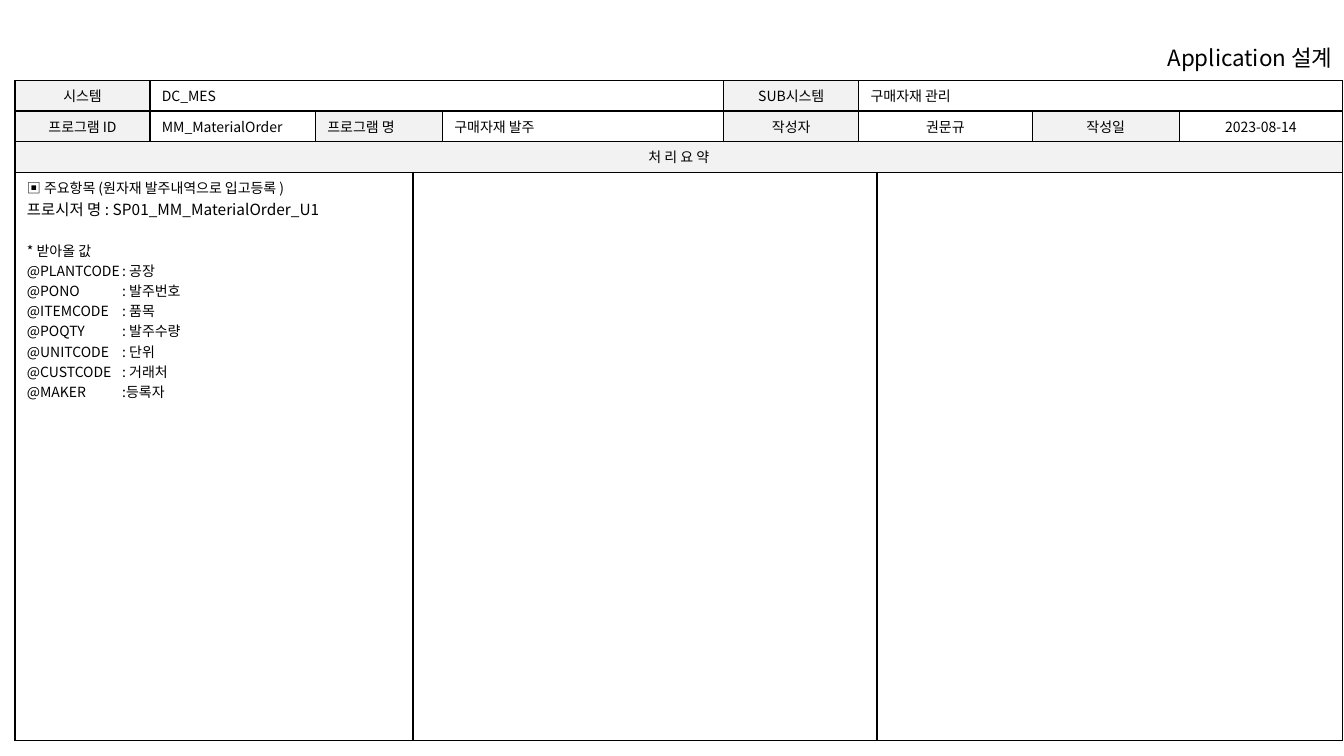
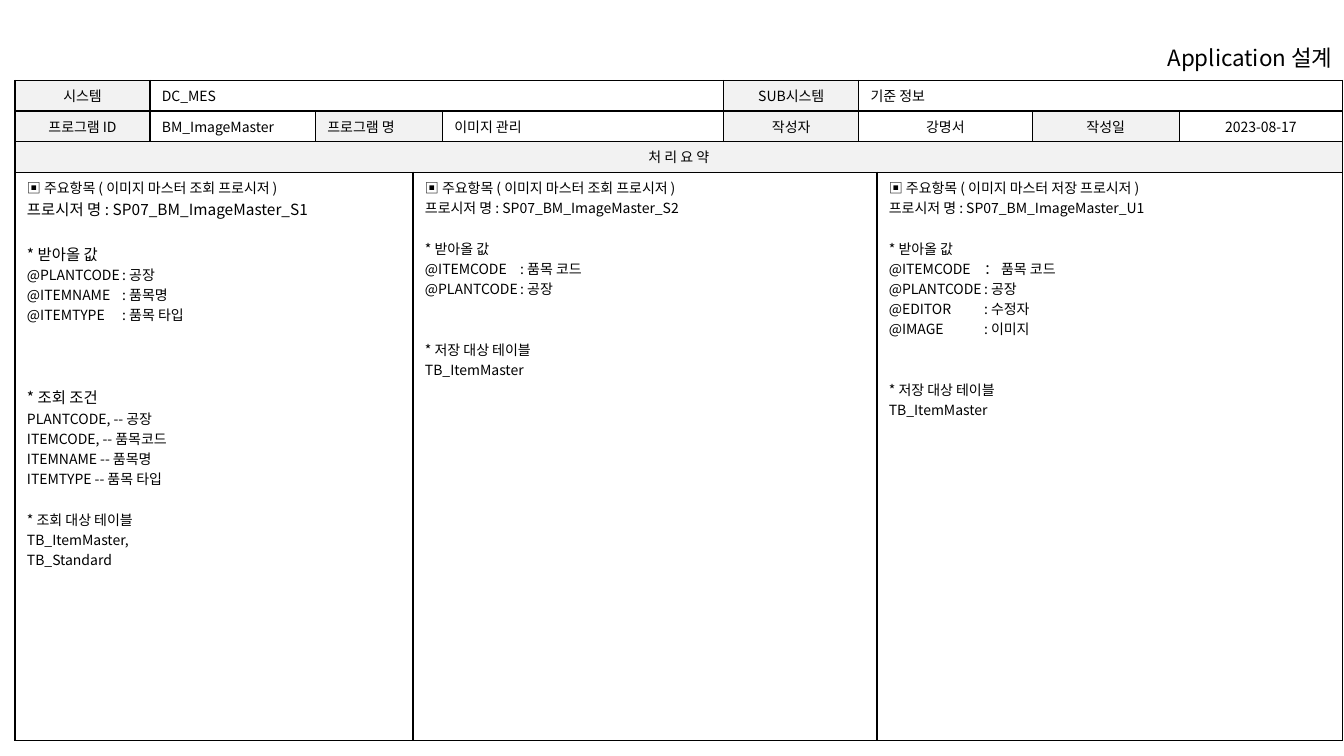
from dataclasses import dataclass

from lxml.etree import SubElement
from pptx import Presentation
from pptx.dml.color import RGBColor
from pptx.enum.text import MSO_ANCHOR as Anchor, MSO_AUTO_SIZE as AutoSize, PP_ALIGN as Align
from pptx.oxml import parse_xml
from pptx.oxml.ns import nsdecls, qn
from pptx.util import Cm, Pt

BLACK = RGBColor(0x00, 0x00, 0x00)
WHITE = RGBColor(0xFF, 0xFF, 0xFF)
LABEL_GRAY = RGBColor(0xF2, 0xF2, 0xF2)

COLUMN_WIDTHS = [3.4, 4.17, 2.46, 0.74, 7.09, 3.4, 0.46, 3.91, 3.71, 4.11]
ROW_HEIGHTS = [0.76, 0.76, 0.76, 14.33]
SUMMARY_SPANS = [(0, 2), (3, 6), (7, 9)]
BLANK = 14.5


@dataclass
class Line:
    text: str
    size: int = 10
    gap: float = 0


@dataclass
class Program:
    subsystem: str
    identifier: str
    name: str
    author: str
    date: str
    summaries: list


class DesignSheet:
    font = "Noto Sans CJK KR"
    colon_stop = Cm(2.4)
    border_width = Pt(1)

    def __init__(self, presentation):
        self.presentation = presentation
        self.slide = None
        self.table = None

    def add_slide(self, title):
        layout = self.presentation.slide_layouts[5]
        self.slide = self.presentation.slides.add_slide(layout)
        shape = self.slide.shapes.title
        shape.left, shape.top, shape.width, shape.height = Cm(26.29), Cm(1.02), Cm(7.54), Cm(0.84)
        frame = shape.text_frame
        frame.auto_size = AutoSize.NONE
        frame.word_wrap = True
        frame.vertical_anchor = Anchor.MIDDLE
        frame.margin_left = frame.margin_right = Cm(0.25)
        frame.margin_top = frame.margin_bottom = 0
        self.add_line(frame.paragraphs[0], Line(title, 16), Align.RIGHT)

    def add_line(self, paragraph, line, align=Align.LEFT):
        paragraph.alignment = align
        paragraph.space_before = Pt(line.gap)
        if "\t" in line.text:
            stops = SubElement(paragraph._p.get_or_add_pPr(), qn("a:tabLst"))
            SubElement(stops, qn("a:tab"), pos=str(self.colon_stop), algn="l")
        run = paragraph.add_run()
        run.text = line.text
        run.font.size = Pt(line.size)
        run.font.name = self.font
        run.font.color.rgb = BLACK
        SubElement(run._r.get_or_add_rPr(), qn("a:ea"), typeface=self.font)

    def add_grid(self):
        frame = self.slide.shapes.add_table(
            len(ROW_HEIGHTS), len(COLUMN_WIDTHS), Cm(0.38), Cm(2.03),
            Cm(sum(COLUMN_WIDTHS)), Cm(sum(ROW_HEIGHTS)))
        self.table = frame.table
        self.table.first_row = self.table.horz_banding = False
        for column, width in zip(self.table.columns, COLUMN_WIDTHS):
            column.width = Cm(width)
        for row, height in zip(self.table.rows, ROW_HEIGHTS):
            row.height = Cm(height)
        for cell in self.table.iter_cells():
            self.style_cell(cell)

    def style_cell(self, cell):
        cell.margin_left = cell.margin_right = Cm(0.3)
        cell.margin_top = cell.margin_bottom = Cm(0.13)
        cell.fill.solid()
        cell.fill.fore_color.rgb = WHITE
        properties = cell._tc.get_or_add_tcPr()
        for position, side in enumerate("LRTB"):
            properties.insert(position, parse_xml(
                f'<a:ln{side} {nsdecls("a")} w="{self.border_width}"><a:solidFill>'
                f'<a:srgbClr val="{BLACK}"/></a:solidFill></a:ln{side}>'))

    def fill_cell(self, row, first, last, lines, align=Align.LEFT, label=False):
        cell = self.table.cell(row, first)
        if last > first:
            cell.merge(self.table.cell(row, last))
        if label:
            cell.fill.fore_color.rgb = LABEL_GRAY
        frame = cell.text_frame
        for index, line in enumerate(lines):
            paragraph = frame.add_paragraph() if index else frame.paragraphs[0]
            self.add_line(paragraph, line, align)

    def add_label(self, row, first, last, text, align=Align.CENTER):
        self.fill_cell(row, first, last, [Line(text)], align, label=True)

    def add_value(self, row, first, last, text, align=Align.LEFT):
        self.fill_cell(row, first, last, [Line(text)], align)

    def add_program(self, program):
        self.add_slide("Application 설계")
        self.add_grid()
        self.add_label(0, 0, 0, "시스템")
        self.add_value(0, 1, 4, "DC_MES")
        self.add_label(0, 5, 5, "SUB시스템")
        self.add_value(0, 6, 9, program.subsystem)
        self.add_label(1, 0, 0, "프로그램 ID")
        self.add_value(1, 1, 1, program.identifier)
        self.add_label(1, 2, 3, "프로그램 명", Align.LEFT)
        self.add_value(1, 4, 4, program.name)
        self.add_label(1, 5, 5, "작성자")
        self.add_value(1, 6, 7, program.author, Align.CENTER)
        self.add_label(1, 8, 8, "작성일")
        self.add_value(1, 9, 9, program.date, Align.CENTER)
        self.add_label(2, 0, 9, "처 리 요 약")
        for (first, last), lines in zip(SUMMARY_SPANS, program.summaries):
            self.fill_cell(3, first, last, lines)


MATERIAL_ORDER = Program(
    "구매자재 관리", "MM_MaterialOrder", "구매자재 발주", "권문규", "2023-08-14",
    [
        [
            Line("▣ 주요항목 (원자재 발주내역으로 입고등록 )"),
            Line("프로시저 명 : SP01_MM_MaterialOrder_U1", 11),
            Line("* 받아올 값", gap=BLANK),
            Line("@PLANTCODE\t: 공장"),
            Line("@PONO\t: 발주번호"),
            Line("@ITEMCODE\t: 품목"),
            Line("@POQTY\t: 발주수량"),
            Line("@UNITCODE\t: 단위"),
            Line("@CUSTCODE\t: 거래처"),
            Line("@MAKER\t:등록자"),
        ],
        [],
        [],
    ])

IMAGE_MASTER = Program(
    "기준 정보", "BM_ImageMaster", "이미지 관리", "강명서", "2023-08-17",
    [
        [
            Line("▣ 주요항목 ( 이미지 마스터 조회 프로시저 )"),
            Line("프로시저 명 : SP07_BM_ImageMaster_S1", 11),
            Line("* 받아올 값", 11, 16),
            Line("@PLANTCODE\t: 공장"),
            Line("@ITEMNAME\t: 품목명"),
            Line("@ITEMTYPE\t: 품목 타입"),
            Line("* 조회 조건", 11, 3 * BLANK),
            Line("PLANTCODE, -- 공장"),
            Line("ITEMCODE, -- 품목코드"),
            Line("ITEMNAME -- 품목명"),
            Line("ITEMTYPE -- 품목 타입"),
            Line("* 조회 대상 테이블", gap=BLANK),
            Line("TB_ItemMaster,"),
            Line("TB_Standard"),
        ],
        [
            Line("▣ 주요항목 ( 이미지 마스터 조회 프로시저 )"),
            Line("프로시저 명 : SP07_BM_ImageMaster_S2"),
            Line("* 받아올 값", gap=BLANK),
            Line("@ITEMCODE\t: 품목 코드"),
            Line("@PLANTCODE\t: 공장"),
            Line("* 저장 대상 테이블", gap=2 * BLANK),
            Line("TB_ItemMaster"),
        ],
        [
            Line("▣ 주요항목 ( 이미지 마스터 저장 프로시저 )"),
            Line("프로시저 명 : SP07_BM_ImageMaster_U1"),
            Line("* 받아올 값", gap=BLANK),
            Line("@ITEMCODE\t： 품목 코드"),
            Line("@PLANTCODE\t: 공장"),
            Line("@EDITOR\t: 수정자"),
            Line("@IMAGE\t: 이미지"),
            Line("* 저장 대상 테이블", gap=2 * BLANK),
            Line("TB_ItemMaster"),
        ],
    ])


def main():
    presentation = Presentation()
    presentation.slide_width, presentation.slide_height = Cm(33.87), Cm(19.05)
    sheet = DesignSheet(presentation)
    for program in (MATERIAL_ORDER, IMAGE_MASTER):
        sheet.add_program(program)
    presentation.save("out.pptx")


if __name__ == "__main__":
    main()
